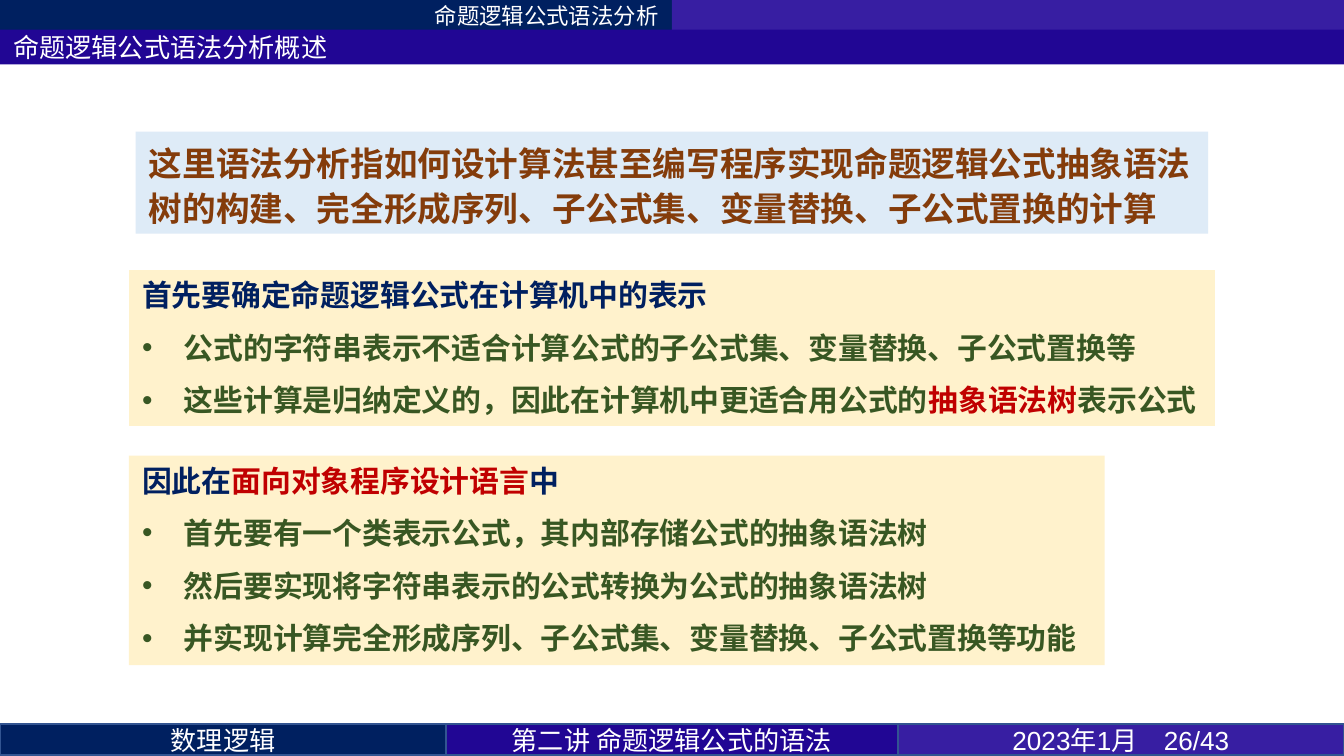
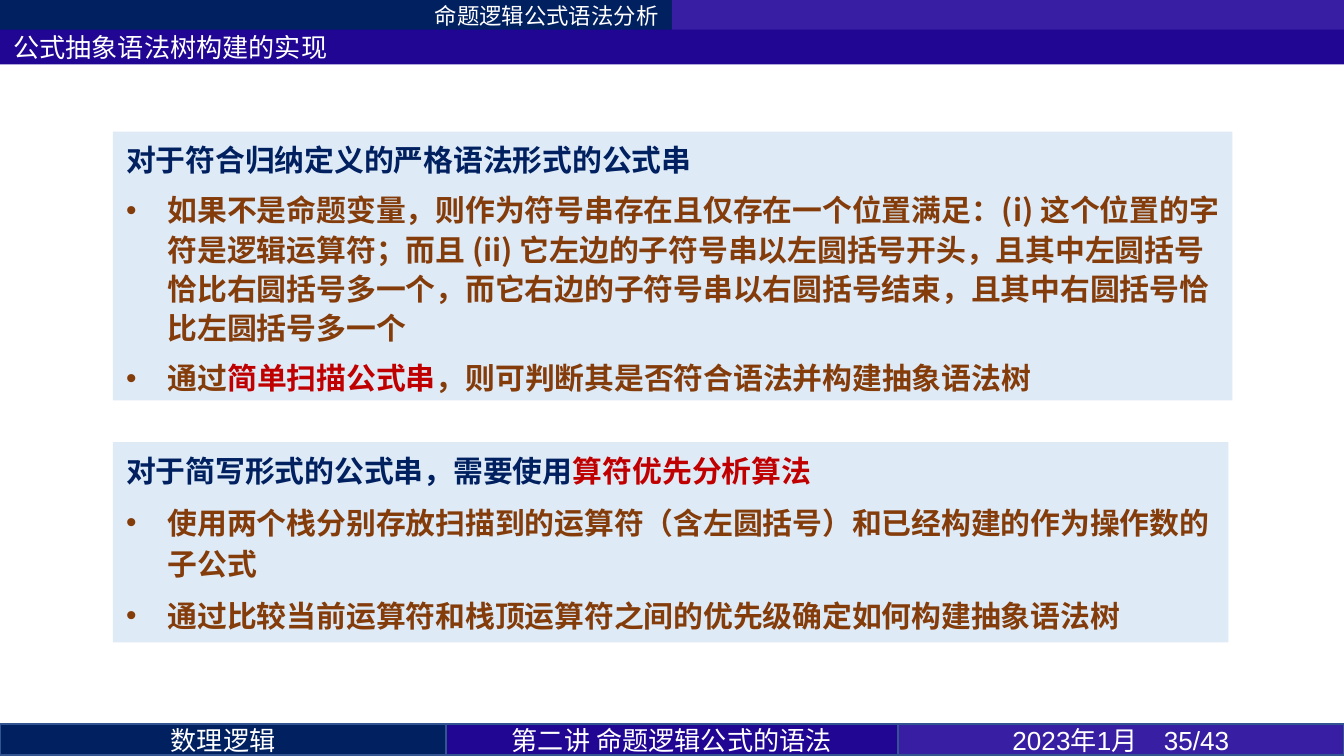
import pptx
import pptx.dml.color
import pptx.enum.shapes
import pptx.enum.text
import pptx.oxml.ns
import pptx.util
from lxml import etree

Inches, Pt = pptx.util.Inches, pptx.util.Pt
ALIGN = pptx.enum.text.PP_ALIGN
ANCHOR = pptx.enum.text.MSO_ANCHOR
RECT = pptx.enum.shapes.MSO_SHAPE.RECTANGLE
NOTO, CALIBRI, ARIAL = "Noto Sans CJK SC", "Calibri", "Arial"


class Theme:
    navy, indigo, violet = "002060", "210694", "371EA2"
    edge, white, red = "325491", "FFFFFF", "C00000"
    blue, cream = "DEEBF7", "FFF2CC"
    brown, green = "843C0B", "385723"
    small, bar, item, lead = 12, 14, 16, 18
    indent = 0.31


WIDTH = 10
HEIGHT = WIDTH * 9 / 16
BAND, FOOT = 0.23, 5.39
SECTION = "命题逻辑公式语法分析"
COURSE, LECTURE = "数理逻辑", "第二讲 命题逻辑公式的语法"
DATE, TOTAL = "2023年1月", 43

# Text between asterisks is shown in red.
# "lines" holds the line spacing in points: heading first, then items.
SLIDES = [
    {
        "title": "命题逻辑公式语法分析概述",
        "page": 26,
        "boxes": [
            {
                "at": (1.01, 0.98, 7.98, 0.76), "fill": Theme.blue,
                "head": "这里语法分析指如何设计算法甚至编写程序实现命题逻辑公式抽象语法"
                        "树的构建、完全形成序列、子公式集、变量替换、子公式置换的计算",
                "fonts": (CALIBRI, CALIBRI), "inks": (Theme.brown, Theme.brown),
                "size": Theme.lead, "lines": (24, 24), "gaps": (0, 0),
                "items": [],
            },
            {
                "at": (0.96, 2.01, 8.08, 1.16), "fill": Theme.cream,
                "head": "首先要确定命题逻辑公式在计算机中的表示",
                "fonts": (NOTO, CALIBRI), "inks": (Theme.navy, Theme.green),
                "size": Theme.item, "lines": (None, None), "gaps": (6, 3),
                "items": [
                    "公式的字符串表示不适合计算公式的子公式集、变量替换、子公式置换等",
                    "这些计算是归纳定义的，因此在计算机中更适合用公式的*抽象语法树*表示公式",
                ],
            },
            {
                "at": (0.96, 3.39, 7.26, 1.56), "fill": Theme.cream,
                "head": "因此在*面向对象程序设计语言*中",
                "fonts": (NOTO, CALIBRI), "inks": (Theme.navy, Theme.green),
                "size": Theme.item, "lines": (None, None), "gaps": (6, 3),
                "items": [
                    "首先要有一个类表示公式，其内部存储公式的抽象语法树",
                    "然后要实现将字符串表示的公式转换为公式的抽象语法树",
                    "并实现计算完全形成序列、子公式集、变量替换、子公式置换等功能",
                ],
            },
        ],
    },
    {
        "title": "公式抽象语法树构建的实现",
        "page": 35,
        "boxes": [
            {
                "at": (0.84, 0.98, 8.33, 2), "fill": Theme.blue,
                "head": "对于符合归纳定义的严格语法形式的公式串",
                "fonts": (CALIBRI, NOTO), "inks": (Theme.navy, Theme.brown),
                "size": Theme.item, "lines": (21, 21), "gaps": (6, 0),
                "items": [
                    "如果不是命题变量，则作为符号串存在且仅存在一个位置满足：(i) 这个位置的"
                    "字符是逻辑运算符；而且 (ii) 它左边的子符号串以左圆括号开头，且其中左圆"
                    "括号恰比右圆括号多一个，而它右边的子符号串以右圆括号结束，且其中右圆括"
                    "号恰比左圆括号多一个",
                    "通过*简单扫描公式串*，则可判断其是否符合语法并构建抽象语法树",
                ],
            },
            {
                "at": (0.84, 3.29, 8.3, 1.49), "fill": Theme.blue,
                "head": "对于简写形式的公式串，需要使用*算符优先分析算法*",
                "fonts": (CALIBRI, NOTO), "inks": (Theme.navy, Theme.brown),
                "size": Theme.item, "lines": (21, 22), "gaps": (6, 0),
                "items": [
                    "使用两个栈分别存放扫描到的运算符（含左圆括号）和已经构建的作为操作数的子公式",
                    "通过比较当前运算符和栈顶运算符之间的优先级确定如何构建抽象语法树",
                ],
            },
        ],
    },
]


def tint(text):
    return pptx.dml.color.RGBColor.from_string(text)


def style(run, face, size, ink, bold=False):
    font = run.font
    font.name, font.size, font.bold = face, Pt(size), bold
    font.color.rgb = tint(ink)
    asian = etree.SubElement(run._r.get_or_add_rPr(), pptx.oxml.ns.qn("a:ea"))
    asian.set("typeface", NOTO)


def block(slide, at, fill, edge=None):
    shape = slide.shapes.add_shape(RECT, *map(Inches, at))
    shape.shadow.inherit = False
    shape.fill.solid()
    shape.fill.fore_color.rgb = tint(fill)
    if edge:
        shape.line.color.rgb = tint(edge)
        shape.line.width = Pt(1)
    else:
        shape.line.fill.background()
    return shape


def label(shape, text, align, face=NOTO, size=Theme.bar):
    frame = shape.text_frame
    frame.text = text
    frame.vertical_anchor = ANCHOR.MIDDLE
    para = frame.paragraphs[0]
    para.alignment = align
    style(para.runs[0], face, size, Theme.white)


def bullet(para):
    props = para._p.get_or_add_pPr()
    props.set("marL", str(Inches(Theme.indent)))
    props.set("indent", str(-Inches(Theme.indent)))
    for tag, key, value in (("a:buFont", "typeface", ARIAL),
                            ("a:buChar", "char", "•")):
        etree.SubElement(props, pptx.oxml.ns.qn(tag)).set(key, value)


def panel(slide, box):
    """Draw a filled box with a heading and its bulleted items."""
    frame = block(slide, box["at"], box["fill"]).text_frame
    frame.word_wrap = True
    frame.vertical_anchor = ANCHOR.TOP
    frame.auto_size = pptx.enum.text.MSO_AUTO_SIZE.SHAPE_TO_FIT_TEXT
    for row, text in enumerate([box["head"], *box["items"]]):
        level = min(row, 1)
        para = frame.add_paragraph() if row else frame.paragraphs[0]
        para.alignment = ALIGN.LEFT
        para.space_before, para.space_after = map(Pt, box["gaps"])
        if box["lines"][level]:
            para.line_spacing = Pt(box["lines"][level])
        if level:
            bullet(para)
        for part, words in enumerate(text.split("*")):
            if words:
                run = para.add_run()
                run.text = words
                ink = Theme.red if part % 2 else box["inks"][level]
                style(run, box["fonts"][level], box["size"], ink, True)


def bands(slide, title, page):
    """Draw the header and footer that every slide shares."""
    half = WIDTH / 2
    label(block(slide, (0, 0, half, BAND), Theme.navy),
          SECTION, ALIGN.RIGHT, size=Theme.small)
    block(slide, (half, 0, half, BAND), Theme.violet)
    label(block(slide, (0, 0.22, WIDTH, 0.26), Theme.indigo),
          title, ALIGN.LEFT, CALIBRI)
    cells = [
        (3.32, Theme.navy, COURSE, NOTO),
        (3.36, Theme.indigo, LECTURE, NOTO),
        (3.32, Theme.violet, f"{DATE}　{page}/{TOTAL}", ARIAL),
    ]
    left = 0
    for width, fill, text, face in cells:
        cell = block(slide, (left, FOOT, width, BAND), fill, Theme.edge)
        label(cell, text, ALIGN.CENTER, face)
        left += width


def main():
    deck = pptx.Presentation()
    deck.slide_width, deck.slide_height = Inches(WIDTH), Inches(HEIGHT)
    for data in SLIDES:
        slide = deck.slides.add_slide(deck.slide_layouts[6])
        bands(slide, data["title"], data["page"])
        for box in data["boxes"]:
            panel(slide, box)
    deck.save("out.pptx")


if __name__ == "__main__":
    main()
